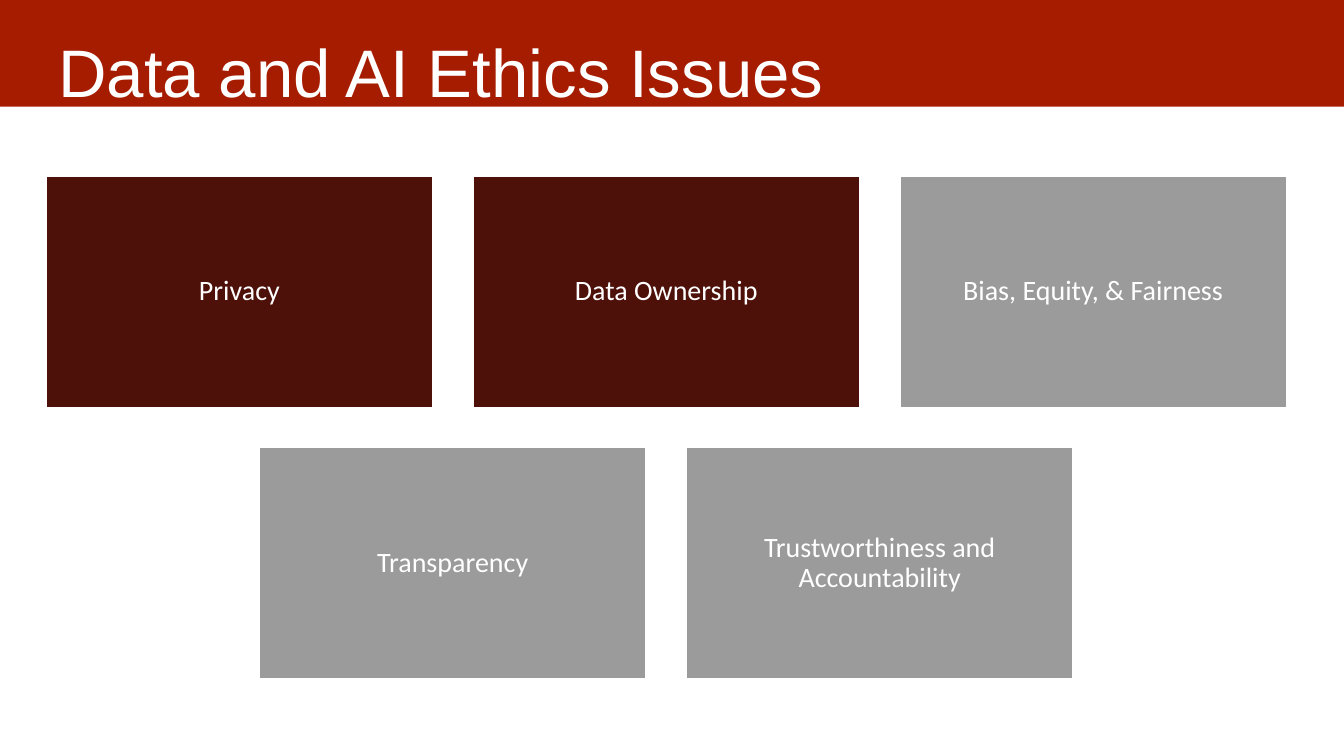
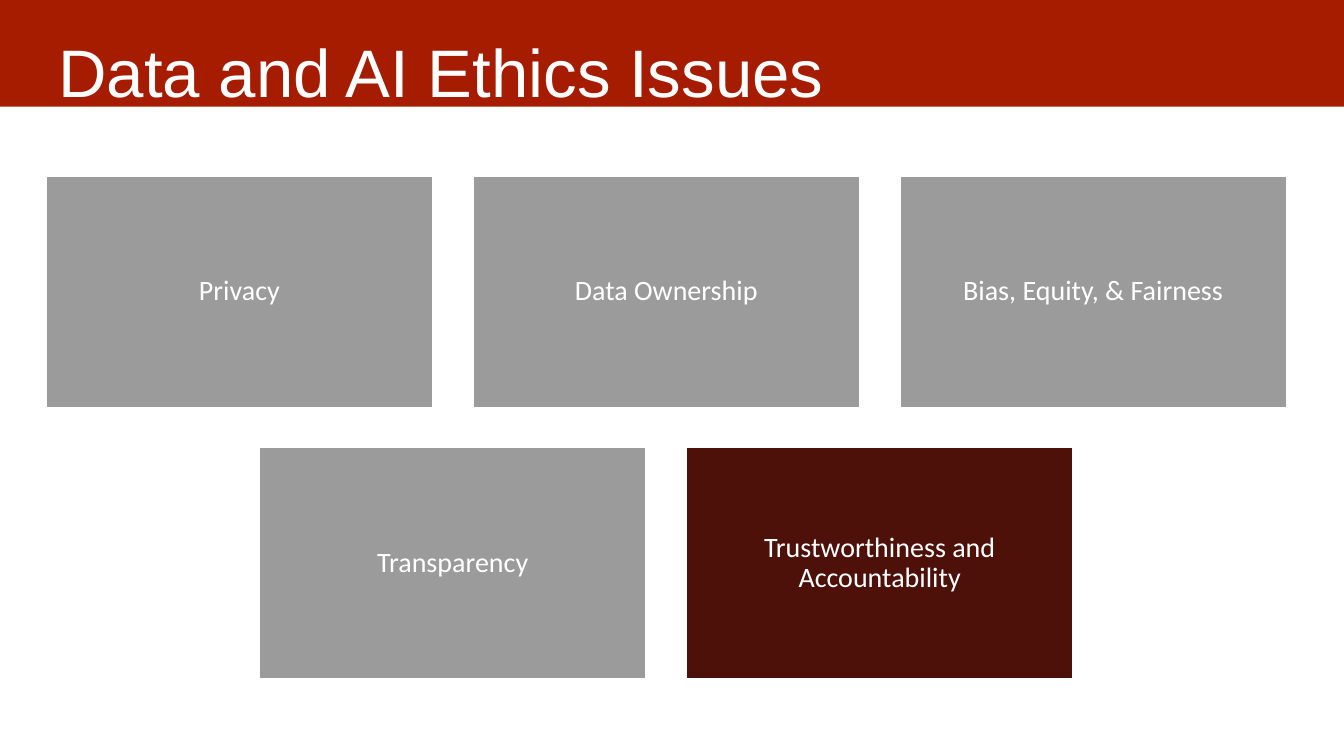
from dataclasses import dataclass

from pptx import Presentation
from pptx.dml.color import RGBColor
from pptx.enum.shapes import MSO_SHAPE
from pptx.enum.text import MSO_ANCHOR, MSO_AUTO_SIZE, PP_ALIGN
from pptx.util import Pt


@dataclass(frozen=True)
class Theme:
    band: RGBColor = RGBColor.from_string("A61C00")
    highlight: RGBColor = RGBColor.from_string("4D110A")
    muted: RGBColor = RGBColor.from_string("9B9B9B")
    white: RGBColor = RGBColor.from_string("FFFFFF")
    title_font: str = "Arial"
    title_size: float = 48
    card_font: str = "Calibri"
    card_size: float = 20


THEME = Theme()
SLIDE_WIDTH, SLIDE_HEIGHT = 960, 540
MARGIN, GRID_TOP = 32.4, 125.28
CARD_WIDTH, CARD_HEIGHT = 277.2, 166.32
GAP = CARD_WIDTH / 10
TITLE = "Data and AI Ethics Issues"
ISSUE_ROWS = (
    ("Privacy", "Data Ownership", "Bias, Equity, & Fairness"),
    ("Transparency", "Trustworthiness and Accountability"),
)
HIGHLIGHTS = (
    {"Privacy", "Data Ownership"},
    {"Trustworthiness and Accountability"},
)


def row_width(count):
    return count * CARD_WIDTH + (count - 1) * GAP


def add_rectangle(slide, left, top, width, height, fill):
    rectangle = slide.shapes.add_shape(
        MSO_SHAPE.RECTANGLE, Pt(left), Pt(top), Pt(width), Pt(height))
    rectangle.shadow.inherit = False
    rectangle.fill.solid()
    rectangle.fill.fore_color.rgb = fill
    rectangle.line.fill.background()
    return rectangle


def set_insets(frame, inset, top=None):
    frame.margin_left = frame.margin_right = frame.margin_bottom = Pt(inset)
    frame.margin_top = Pt(inset if top is None else top)


def add_run(paragraph, text, font_name, size):
    run = paragraph.add_run()
    run.text = text
    run.font.name = font_name
    run.font.size = Pt(size)
    run.font.color.rgb = THEME.white


def move_band_to_layout(slide, layout):
    """Draw the header band once, behind everything on the shared layout."""
    band = add_rectangle(slide, -1.5, -3, SLIDE_WIDTH + 3, 79.2, THEME.band)
    band.element.nvSpPr.cNvPr.id = 100
    layout.shapes.element.insert(2, band.element)


def set_title(slide, text):
    title = slide.shapes.title
    title.left, title.top = Pt(MARGIN), Pt(6.5)
    title.width, title.height = Pt(894.24), Pt(59.76)
    frame = title.text_frame
    frame.word_wrap = True
    frame.auto_size = MSO_AUTO_SIZE.NONE
    frame.vertical_anchor = MSO_ANCHOR.TOP
    set_insets(frame, 9.36, top=15)
    paragraph = frame.paragraphs[0]
    paragraph.alignment = PP_ALIGN.LEFT
    add_run(paragraph, text, THEME.title_font, THEME.title_size)


def add_card(slide, left, top, issue, fill):
    card = add_rectangle(slide, left, top, CARD_WIDTH, CARD_HEIGHT, fill)
    card.line.color.rgb = THEME.white
    card.line.width = Pt(2)
    frame = card.text_frame
    frame.word_wrap = True
    frame.vertical_anchor = MSO_ANCHOR.MIDDLE
    set_insets(frame, 6)
    paragraph = frame.paragraphs[0]
    paragraph.alignment = PP_ALIGN.CENTER
    paragraph.line_spacing = 0.9
    add_run(paragraph, issue, THEME.card_font, THEME.card_size)


def add_issue_grid(slide, highlighted):
    """Lay out the issue cards, centring shorter rows under the widest."""
    full_width = row_width(max(map(len, ISSUE_ROWS)))
    for row, issues in enumerate(ISSUE_ROWS):
        row_left = MARGIN + (full_width - row_width(len(issues))) / 2
        top = GRID_TOP + row * (CARD_HEIGHT + GAP)
        for column, issue in enumerate(issues):
            left = row_left + column * (CARD_WIDTH + GAP)
            fill = THEME.highlight if issue in highlighted else THEME.muted
            add_card(slide, left, top, issue, fill)


def main():
    presentation = Presentation()
    presentation.slide_width = Pt(SLIDE_WIDTH)
    presentation.slide_height = Pt(SLIDE_HEIGHT)
    title_only = presentation.slide_layouts[5]
    slides = [presentation.slides.add_slide(title_only) for _ in HIGHLIGHTS]
    move_band_to_layout(slides[0], title_only)
    for slide, highlighted in zip(slides, HIGHLIGHTS):
        set_title(slide, TITLE)
        add_issue_grid(slide, highlighted)
    presentation.save("out.pptx")


if __name__ == "__main__":
    main()
